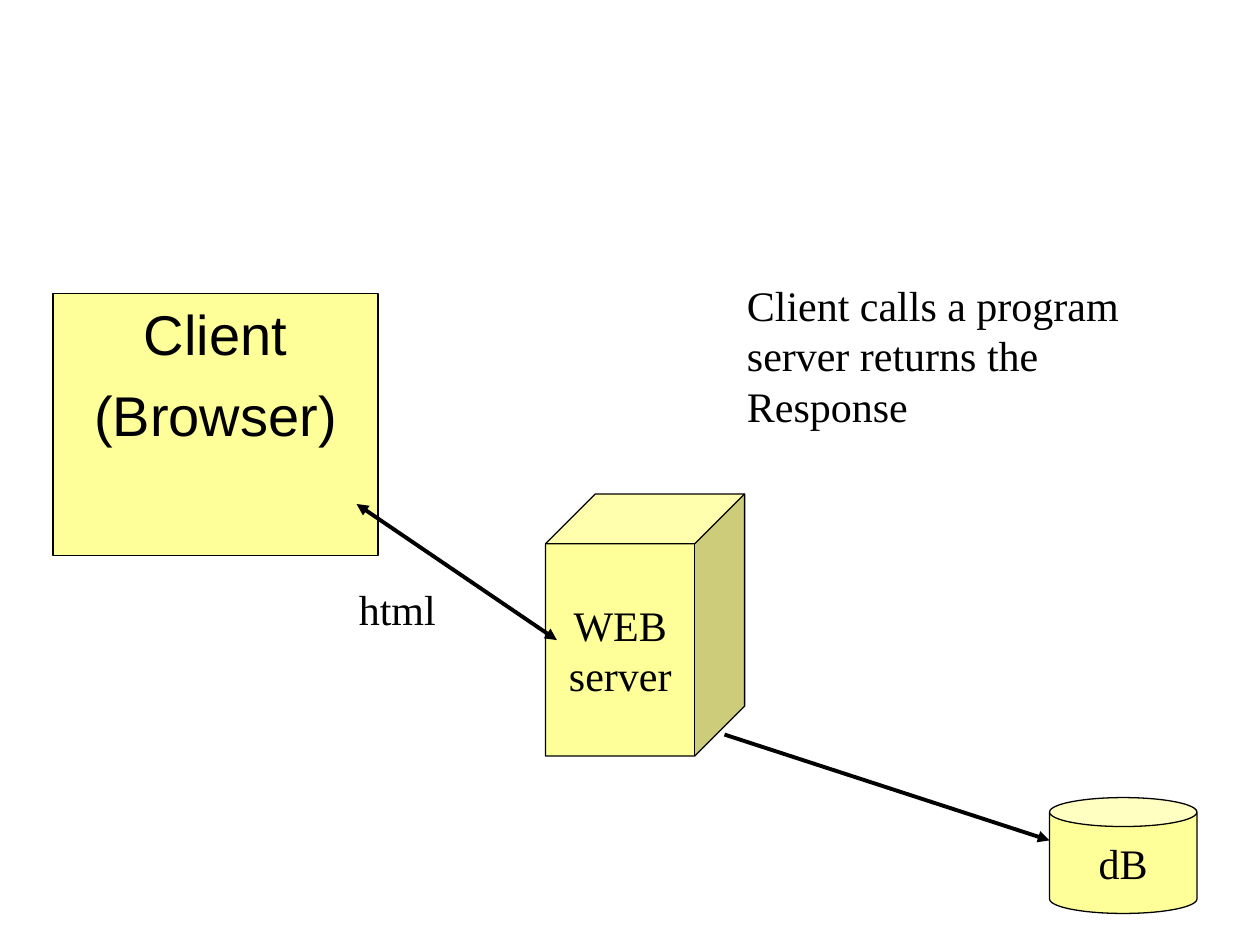
"""Builds a slide showing a browser client, a web server and a database."""
from lxml import etree
from pptx import Presentation
from pptx.dml.color import RGBColor
from pptx.enum.shapes import MSO_CONNECTOR, MSO_SHAPE
from pptx.enum.text import MSO_ANCHOR, PP_ALIGN
from pptx.oxml.ns import qn
from pptx.util import Inches, Pt

BLACK = RGBColor(0x00, 0x00, 0x00)
YELLOW = RGBColor(0xFF, 0xFF, 0x99)
RECTANGLE, CUBE, CAN = MSO_SHAPE.RECTANGLE, MSO_SHAPE.CUBE, MSO_SHAPE.CAN
STRAIGHT = MSO_CONNECTOR.STRAIGHT
TOP, MIDDLE = MSO_ANCHOR.TOP, MSO_ANCHOR.MIDDLE
LEFT, CENTER = PP_ALIGN.LEFT, PP_ALIGN.CENTER


class Diagram:
    font = "Times New Roman"
    size = 24

    def __init__(self, slide):
        self.slide = slide

    def set_text(self, shape, text, align, anchor, wrap, font, size, space):
        frame = shape.text_frame
        frame.text = text
        frame.word_wrap = wrap
        frame.vertical_anchor = anchor
        for paragraph in frame.paragraphs:
            paragraph.alignment = align
            paragraph.space_before = Pt(space)
            for run in paragraph.runs:
                run.font.name = font
                run.font.size = Pt(size)
                run.font.color.rgb = BLACK

    def node(self, kind, left, top, width, height, text, anchor=MIDDLE,
             wrap=False, font=font, size=size, space=0):
        shape = self.slide.shapes.add_shape(
            kind, Inches(left), Inches(top), Inches(width), Inches(height))
        shape.shadow.inherit = False
        shape.fill.solid()
        shape.fill.fore_color.rgb = YELLOW
        shape.line.color.rgb = BLACK
        shape.line.width = Pt(0.75)
        self.set_text(shape, text, CENTER, anchor, wrap, font, size, space)

    def label(self, left, top, width, height, text, wrap=True):
        box = self.slide.shapes.add_textbox(
            Inches(left), Inches(top), Inches(width), Inches(height))
        self.set_text(box, text, LEFT, TOP, wrap, self.font, self.size, 0)

    def arrow(self, start, end, ends=("tailEnd",)):
        points = [Inches(value) for value in (*start, *end)]
        connector = self.slide.shapes.add_connector(STRAIGHT, *points)
        connector.line.color.rgb = BLACK
        connector.line.width = Pt(2.25)
        properties = connector._element.spPr
        line = properties.find(qn("a:ln"))
        for end_name in ends:
            etree.SubElement(line, qn(f"a:{end_name}"), type="triangle")
        etree.SubElement(properties, qn("a:effectLst"))


def main():
    presentation = Presentation()
    presentation.slide_width = Inches(10)
    presentation.slide_height = Inches(7.5)
    diagram = Diagram(presentation.slides.add_slide(presentation.slide_layouts[6]))

    diagram.node(CUBE, 4.33, 3.92, 1.58, 2.08, "WEB\nserver")
    diagram.node(CAN, 8.33, 6.33, 1.17, 0.92, "dB", space=28)
    diagram.node(RECTANGLE, 0.42, 2.33, 2.58, 2.08, "Client\n(Browser)",
                 anchor=TOP, wrap=True, font="Arial", size=32, space=8)
    diagram.arrow((2.83, 4), (4.42, 5.08), ends=("headEnd", "tailEnd"))
    diagram.label(2.75, 4.58, 1.33, 0.5, "html")
    diagram.label(5.83, 2.17, 3.87, 0.9,
                  "Client calls a program\nserver returns the Response", wrap=False)
    diagram.arrow((5.75, 5.83), (8.33, 6.67))

    presentation.save("out.pptx")


if __name__ == "__main__":
    main()
